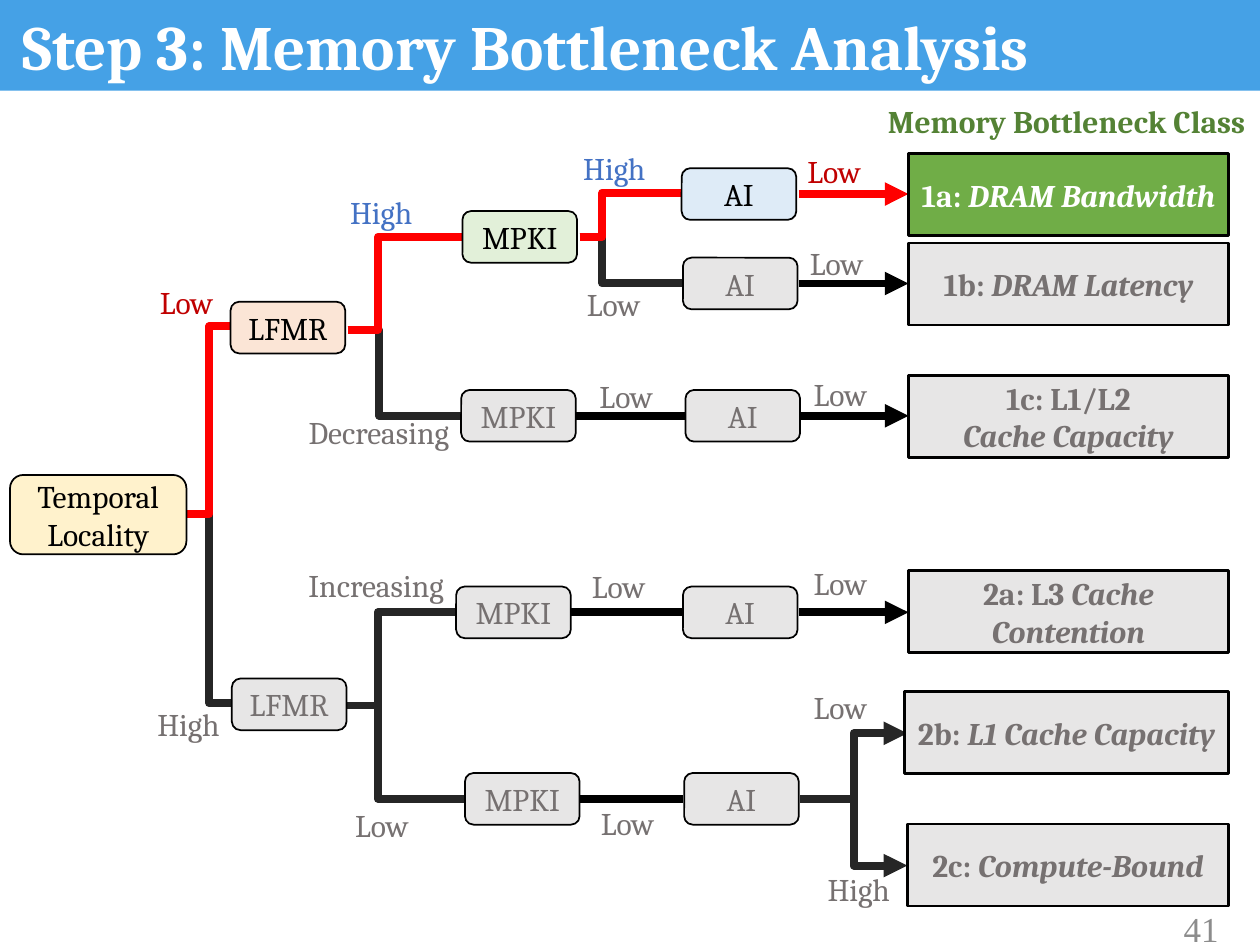
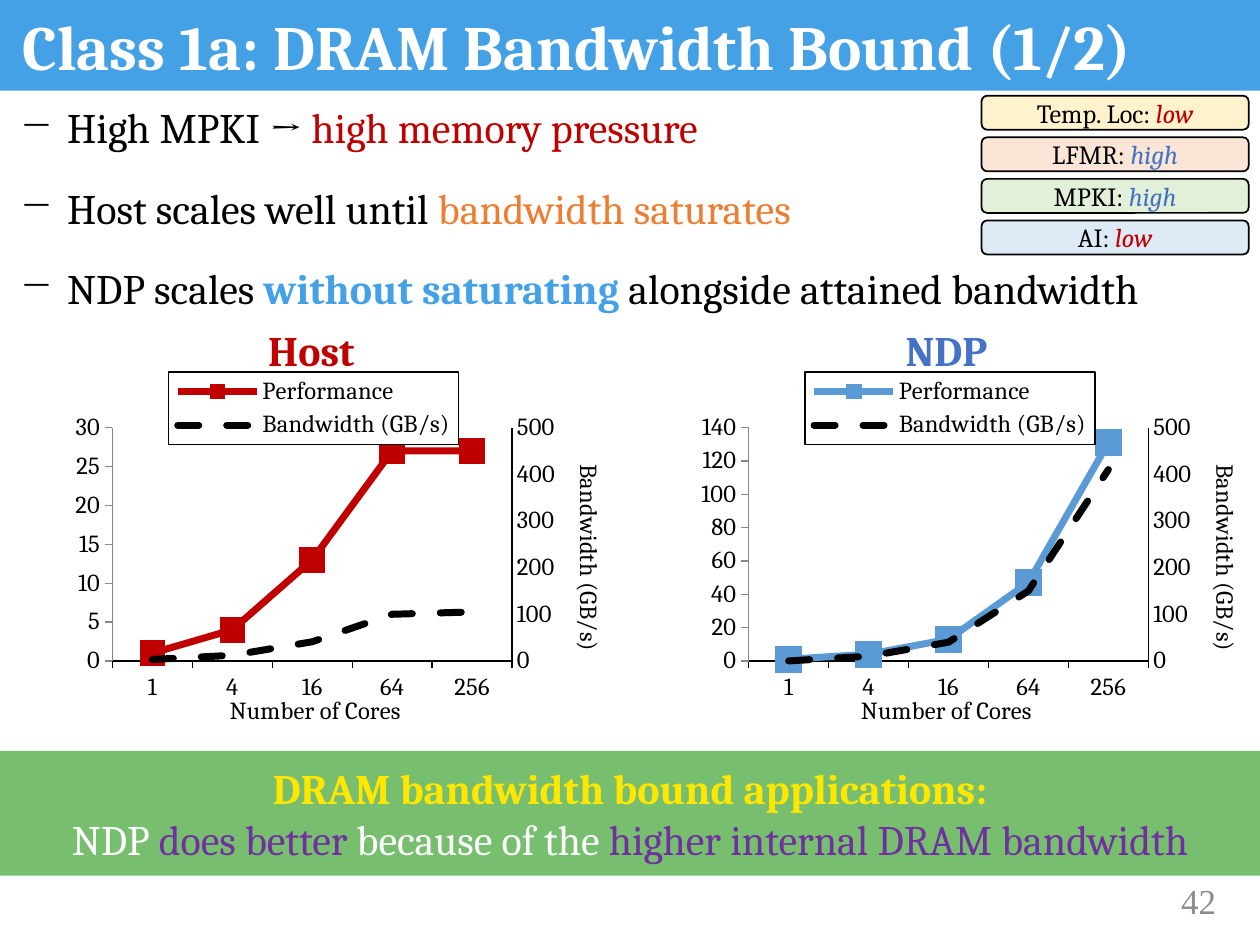
"""Build two slides on memory bottleneck classes: a decision tree and the bandwidth-bound class."""
import copy

import lxml.etree
import pptx
import pptx.chart.axis
import pptx.chart.data
import pptx.dml.color
import pptx.enum.chart
import pptx.enum.dml
import pptx.enum.shapes
import pptx.enum.text
import pptx.oxml.ns
import pptx.util

qn = pptx.oxml.ns.qn
SHAPE = pptx.enum.shapes.MSO_SHAPE
ALIGN = pptx.enum.text.PP_ALIGN
ANCHOR = pptx.enum.text.MSO_ANCHOR
FIT = pptx.enum.text.MSO_AUTO_SIZE
TICK = pptx.enum.chart.XL_TICK_MARK

BLACK, WHITE, RED = "000000", "FFFFFF", "FF0000"
SKY, LOW, HIGH, MUTED, PALE, DARK = "45A1E6", "C00000", "4472C4", "767171", "E7E6E6", "262626"
TEMPORAL, LFMR, MPKI, AI = "FFF2CC", "FBE5D6", "E2F0D9", "DEEBF7"


def rgb(value):
    return pptx.dml.color.RGBColor.from_string(value)


def child(parent, tag, **attributes):
    return lxml.etree.SubElement(parent, qn(tag), attributes)


class Deck:
    """Holds the style, the grid of 100 columns by 75 rows and the current slide."""
    font = "Cambria"

    def __init__(self):
        self.presentation = pptx.Presentation()
        self.presentation.slide_width = pptx.util.Inches(10)
        self.presentation.slide_height = pptx.util.Inches(7.5)
        self.layout = self.presentation.slide_layouts[5]
        for placeholder in list(self.layout.placeholders)[1:]:
            self.layout.shapes.element.remove(placeholder.element)
        self.slide = None

    def grid(self, *cells):
        return [round(cell * self.presentation.slide_width / 100) for cell in cells]

    def new_slide(self, title, number, number_place):
        first = self.slide is None
        self.slide = self.presentation.slides.add_slide(self.layout)
        if first:
            band = self.box((0, -0.3, 100, 7.5), SKY)
            self.layout.shapes.element.insert(2, band.element)
        shape = self.slide.shapes.title
        shape.left, shape.top, shape.width, shape.height = self.grid(0.8, 0.8, 98.3, 8.1)
        self.fill_text(shape, [[(title, WHITE, "b")]], 36, ALIGN.LEFT, ANCHOR.TOP)
        shape.text_frame.auto_size = FIT.NONE
        shape.text_frame.paragraphs[0].line_spacing = 0.9
        self.text(number_place, [[(number, "8C8C8C")]], 20, ALIGN.RIGHT, ANCHOR.MIDDLE,
                  font="Times New Roman")

    def style(self, font, size, color, flags="", name=None):
        font.name, font.size = name or self.font, pptx.util.Pt(size)
        font.bold, font.italic = "b" in flags, "i" in flags
        font.color.rgb = rgb(color)

    def fill_text(self, shape, paragraphs, size, align, anchor, font=None):
        frame = shape.text_frame
        frame.vertical_anchor = anchor
        for index, runs in enumerate(paragraphs):
            paragraph = frame.add_paragraph() if index else frame.paragraphs[0]
            paragraph.alignment = align
            for text, color, *flags in runs:
                run = paragraph.add_run()
                run.text = text
                self.style(run.font, size, color, "".join(flags), font)

    def text(self, place, paragraphs, size=18, align=ALIGN.LEFT, anchor=ANCHOR.TOP,
             wrap=True, font=None):
        shape = self.slide.shapes.add_textbox(*self.grid(*place))
        self.fill_text(shape, paragraphs, size, align, anchor, font)
        shape.text_frame.word_wrap = wrap
        if not wrap:
            shape.text_frame.auto_size = FIT.SHAPE_TO_FIT_TEXT
        return shape

    def box(self, place, fill, paragraphs=(), size=18, kind=SHAPE.RECTANGLE, line=None):
        shape = self.slide.shapes.add_shape(kind, *self.grid(*place))
        shape.shadow.inherit = False
        shape.fill.solid()
        shape.fill.fore_color.rgb = rgb(fill)
        if line:
            shape.line.color.rgb = rgb(BLACK)
            shape.line.width = pptx.util.Pt(line)
        else:
            shape.line.fill.background()
        frame = shape.text_frame
        frame.word_wrap = True
        frame.margin_left = frame.margin_right = self.grid(0.5)[0]
        self.fill_text(shape, paragraphs, size, ALIGN.CENTER, ANCHOR.MIDDLE)
        return shape

    def metric(self, place, fill, runs, size=18):
        self.box(place, fill, [runs], size, SHAPE.ROUNDED_RECTANGLE, 1)

    def link(self, start, end, color, bend=None, arrow=False):
        kinds = pptx.enum.shapes.MSO_CONNECTOR
        connector = self.slide.shapes.add_connector(
            kinds.ELBOW if bend else kinds.STRAIGHT, *self.grid(*start, *end))
        connector.line.color.rgb = rgb(color)
        connector.line.width = pptx.util.Pt(4.5)
        properties = connector.element.find(qn("p:spPr"))
        if bend:
            share = round(100000 * (bend - start[0]) / (end[0] - start[0]))
            adjustments = properties.find(".//" + qn("a:avLst"))
            child(adjustments, "a:gd", name="adj1", fmla=f"val {share}")
        if arrow:
            child(properties.find(qn("a:ln")), "a:tailEnd", type="triangle")
        child(properties, "a:effectLst")

    def bullets(self, place, paragraphs, size, gap):
        shape = self.text(place, paragraphs, size)
        for element in shape.element.iter(qn("a:p")):
            properties = element.get_or_add_pPr()
            indent = self.grid(3.75)[0]
            properties.set("marL", str(indent))
            properties.set("indent", str(-indent))
            child(properties, "a:buChar", char="−")
        for paragraph in shape.text_frame.paragraphs[1:]:
            paragraph.space_before = pptx.util.Pt(gap)

    def axis(self, axis, title, rotation=0, top=None, step=None, tick=TICK.OUTSIDE):
        axis.has_title = True
        axis.axis_title.text_frame.text = title
        run = axis.axis_title.text_frame.paragraphs[0].runs[0]
        self.style(run.font, 14, BLACK)
        body = axis.axis_title.element.find(".//" + qn("a:bodyPr"))
        body.set("rot", str(rotation * 60000))
        body.set("vert", "horz")
        self.style(axis.tick_labels.font, 14, BLACK)
        axis.format.line.color.rgb = rgb(BLACK)
        axis.format.line.width = pptx.util.Pt(0.75)
        axis.major_tick_mark, axis.minor_tick_mark = tick, TICK.NONE
        if top:
            axis.minimum_scale, axis.maximum_scale, axis.major_unit = 0, top, step

    def manual_layout(self, parent, index, inner, x, y, w, h):
        for old in parent.findall(qn("c:layout")):
            parent.remove(old)
        layout = lxml.etree.Element(qn("c:layout"))
        manual = child(layout, "c:manualLayout")
        if inner:
            child(manual, "c:layoutTarget", val="inner")
        for mode in ("xMode", "yMode"):
            child(manual, "c:" + mode, val="edge")
        for name, value in zip("xywh", (x, y, w, h)):
            child(manual, "c:" + name, val=str(value))
        parent.insert(index, layout)

    def second_axes(self, plot_area):
        lines = plot_area.find(qn("c:lineChart"))
        category, value = plot_area.find(qn("c:catAx")), plot_area.find(qn("c:valAx"))
        right_lines, right_category, right_value = map(copy.deepcopy, (lines, category, value))
        lines.remove(lines.findall(qn("c:ser"))[1])
        right_lines.remove(right_lines.find(qn("c:ser")))
        lines.addnext(right_lines)
        value.addnext(right_value)
        right_value.addnext(right_category)
        for identifier, element in zip(("5001", "5002"), right_lines.findall(qn("c:axId"))):
            element.set("val", identifier)
        for axis, own, other in ((right_category, "5001", "5002"), (right_value, "5002", "5001")):
            axis.find(qn("c:axId")).set("val", own)
            axis.find(qn("c:crossAx")).set("val", other)
        right_value.find(qn("c:axPos")).set("val", "r")
        right_value.find(qn("c:crosses")).set("val", "max")
        pptx.chart.axis.CategoryAxis(right_category).visible = False
        right_lines.find(".//" + qn("a:ln")).set("cap", "rnd")
        return pptx.chart.axis.ValueAxis(right_value)

    def scaling_chart(self, place, color, performance, bandwidth, marker_size):
        data = pptx.chart.data.CategoryChartData()
        data.categories = ["1", "4", "16", "64", "256"]
        data.add_series("Performance", performance)
        data.add_series("Bandwidth (GB/s)", bandwidth)
        chart = self.slide.shapes.add_chart(
            pptx.enum.chart.XL_CHART_TYPE.LINE_MARKERS, *self.grid(*place), data).chart
        self.style(chart.font, 14, BLACK)
        chart.has_title = False
        chart.plots[0].vary_by_categories = False
        for series, line_color in zip(chart.plots[0].series, (color, BLACK)):
            series.smooth = False
            series.format.line.color.rgb = rgb(line_color)
            series.format.line.width = pptx.util.Pt(4)
        series.format.line.dash_style = pptx.enum.dml.MSO_LINE.DASH
        series.marker.style = pptx.enum.chart.XL_MARKER_STYLE.NONE
        marker = chart.plots[0].series[0].marker
        marker.style, marker.size = pptx.enum.chart.XL_MARKER_STYLE.SQUARE, marker_size
        marker.format.fill.solid()
        marker.format.fill.fore_color.rgb = rgb(color)
        marker.format.line.fill.background()

        plot_area = chart.element.find(".//" + qn("c:plotArea"))
        chart.value_axis.has_major_gridlines = False
        right_axis = self.second_axes(plot_area)
        self.axis(chart.category_axis, "Number of Cores")
        self.axis(chart.value_axis, "Normalized Performance", -90, 140, 20)
        self.axis(right_axis, "Bandwidth (GB/s)", 90, 500, 100, TICK.NONE)
        chart.value_axis.has_major_gridlines = True
        grid_line = chart.value_axis.major_gridlines.format.line
        grid_line.color.rgb, grid_line.width = rgb("D9D9D9"), pptx.util.Pt(0.75)
        self.manual_layout(plot_area, 0, True, 0.16, 0.175, 0.675, 0.63)

        chart.has_legend = True
        chart.legend.position = pptx.enum.chart.XL_LEGEND_POSITION.TOP
        chart.legend.include_in_layout = False
        self.style(chart.legend.font, 14, BLACK)
        legend = chart.element.find(".//" + qn("c:legend"))
        self.manual_layout(legend, 1, False, 0.255, 0.025, 0.49, 0.195)
        frame = lxml.etree.Element(qn("c:spPr"))
        legend.find(qn("c:txPr")).addprevious(frame)
        child(child(frame, "a:solidFill"), "a:srgbClr", val=WHITE)
        outline = child(frame, "a:ln", w="9525")
        child(child(outline, "a:solidFill"), "a:srgbClr", val=BLACK)


def decision_tree(deck):
    deck.new_slide("Step 3: Memory Bottleneck Analysis", "41", (86.9, 71.7, 10.8, 4))
    lane_1a, lane_1b, lane_1c, lane_2a, lane_2b = 15.4, 22.5, 33, 48.6, 63.4
    for start, end, bend, color in (
            ((14.8, 40.8), (18.4, 55.8), 16.6, DARK), ((27.6, 26.2), (36.6, lane_1c), 30.1, DARK),
            ((46, 18.8), (54.2, lane_1b), 47.8, DARK), ((27.5, 56), (36.2, lane_2a), 30, DARK),
            ((27.5, 56), (36.9, lane_2b), 30, DARK), ((14.8, 40.8), (18.4, 25.9), 16.6, RED),
            ((27.6, 26.2), (36.7, 18.8), 30, RED), ((46, 18.8), (54.1, 15.3), 47.8, RED)):
        deck.link(start, end, color, bend)
    for top in (58.2, 68.7):
        deck.link((63.5, lane_2b), (72, top), DARK, 67.75, True)
    for left, right, lane in ((45.7, 54.4, lane_1c), (45.3, 54.2, lane_2a), (46, 54.2, lane_2b)):
        deck.link((left, lane), (right, lane), BLACK)
    for lane, color in ((lane_1a, RED), (lane_1b, BLACK), (lane_1c, BLACK), (lane_2a, BLACK)):
        deck.link((63.4, lane), (72.1, lane), color, arrow=True)

    deck.metric((0.8, 37.7, 14, 6.3), TEMPORAL, [("Temporal Locality", BLACK)])
    for name, left, middle, fill in (
            ("LFMR", 18.3, 26, LFMR), ("MPKI", 36.7, 18.8, MPKI), ("AI", 54.1, lane_1a, AI),
            ("AI", 54.2, lane_1b, PALE), ("MPKI", 36.6, lane_1c, PALE), ("AI", 54.4, lane_1c, PALE),
            ("LFMR", 18.4, 55.9, PALE), ("MPKI", 36.2, lane_2a, PALE), ("AI", 54.2, lane_2a, PALE),
            ("MPKI", 36.9, lane_2b, PALE), ("AI", 54.3, lane_2b, PALE)):
        deck.metric((left, middle - 2.05, 9.1, 4.1), fill,
                    [(name, MUTED if fill == PALE else BLACK)])

    right_edge = 97.5
    for left, top, *lines in (
            (72.1, 12.2, (("1a: ", "b"), ("DRAM Bandwidth", "bi"))),
            (72.1, 19.3, (("1b: ", "b"), ("DRAM Latency", "bi"))),
            (72.1, 29.8, (("1c: L1/L2", "b"),), (("Cache Capacity", "bi"),)),
            (72.1, 45.3, (("2a: L3 ", "b"), ("Cache Contention", "bi"))),
            (71.8, 54.9, (("2b: ", "b"), ("L1 Cache Capacity", "bi"))),
            (72, 65.4, (("2c: ", "b"), ("Compute-Bound", "bi")))):
        fill, color = ("70AD47", WHITE) if top == 12.2 else (PALE, MUTED)
        paragraphs = [[(text, color, flags) for text, flags in line] for line in lines]
        deck.box((left, top, right_edge - left, 6.5), fill, paragraphs, line=1.5)

    widths = {"Low": 6.7, "High": 7.1, "Decreasing": 14.5, "Increasing": 13.3}
    for name, color, places in (
            ("Low", LOW, ((11.7, 22), (63.1, 11.6))),
            ("High", HIGH, ((26.8, 14.8), (45.3, 11.3))),
            ("High", MUTED, ((11.5, 55.5), (64.7, 68.6))),
            ("Decreasing", MUTED, ((23.5, 32.3),)), ("Increasing", MUTED, ((23.5, 44.4),)),
            ("Low", MUTED, ((27.2, 63.5), (45.6, 22.1), (46.6, 29.4), (46, 44.5), (46.7, 63.3),
                            (63.3, 18.9), (63.6, 29.3), (63.6, 44.3), (63.6, 54.1)))):
        for place in places:
            deck.text((*place, widths[name], 4), [[(name, color)]], wrap=False)
    deck.text((66.2, 7.6, 36.9, 4), [[("Memory Bottleneck Class", "548235", "b")]],
              align=ALIGN.CENTER)


def bandwidth_class(deck):
    deck.new_slide("Class 1a: DRAM Bandwidth Bound (1/2)", "42", (86.7, 69.5, 10.8, 4))
    deck.bullets((0.6, 7.6, 99.4, 17.8), [
        [("High MPKI →", BLACK), (" high memory pressure", LOW)],
        [("Host scales well until ", BLACK), ("bandwidth saturates", "ED7D31")],
        [("NDP scales ", BLACK), ("without saturating", SKY, "b"),
         (" alongside attained bandwidth", BLACK)]], 24, 17)
    deck.box((0, 59.6, 100, 9.9), "77BF6F", [
        [("DRAM bandwidth bound applications:", "FFE700", "b")],
        [("NDP ", WHITE), ("does better ", "7030A0"), ("because of the ", WHITE),
         ("higher internal DRAM bandwidth", "7030A0")]], 24)
    for name, name_color, left, name_left, line_color, marker_size, performance, bandwidth in (
            ("Host", LOW, 1.4, 20.3, LOW, 14, (1, 4, 13, 27, 27), (3, 12, 41, 100, 105)),
            ("NDP", HIGH, 51.9, 70.9, "5B9BD5", 15, (1, 4, 13, 47, 131), (0, 10, 40, 150, 410))):
        deck.scaling_chart((left, 28.8, 47, 29.4), line_color, performance, bandwidth, marker_size)
        deck.text((name_left, 25.3, 9, 5), [[(name, name_color, "b")]], 24, wrap=False)
    for row, (name, level, color, fill) in enumerate((
            ("Temp. Loc: ", "low", LOW, TEMPORAL), ("LFMR: ", "high", HIGH, LFMR),
            ("MPKI: ", "high", HIGH, MPKI), ("AI: ", "low", LOW, AI))):
        deck.metric((77.9, 7.6 + 3.3 * row, 21.2, 2.7), fill,
                    [(name, BLACK), (level, color, "i")], 15)


def main():
    deck = Deck()
    decision_tree(deck)
    bandwidth_class(deck)
    deck.presentation.save("out.pptx")


if __name__ == "__main__":
    main()
